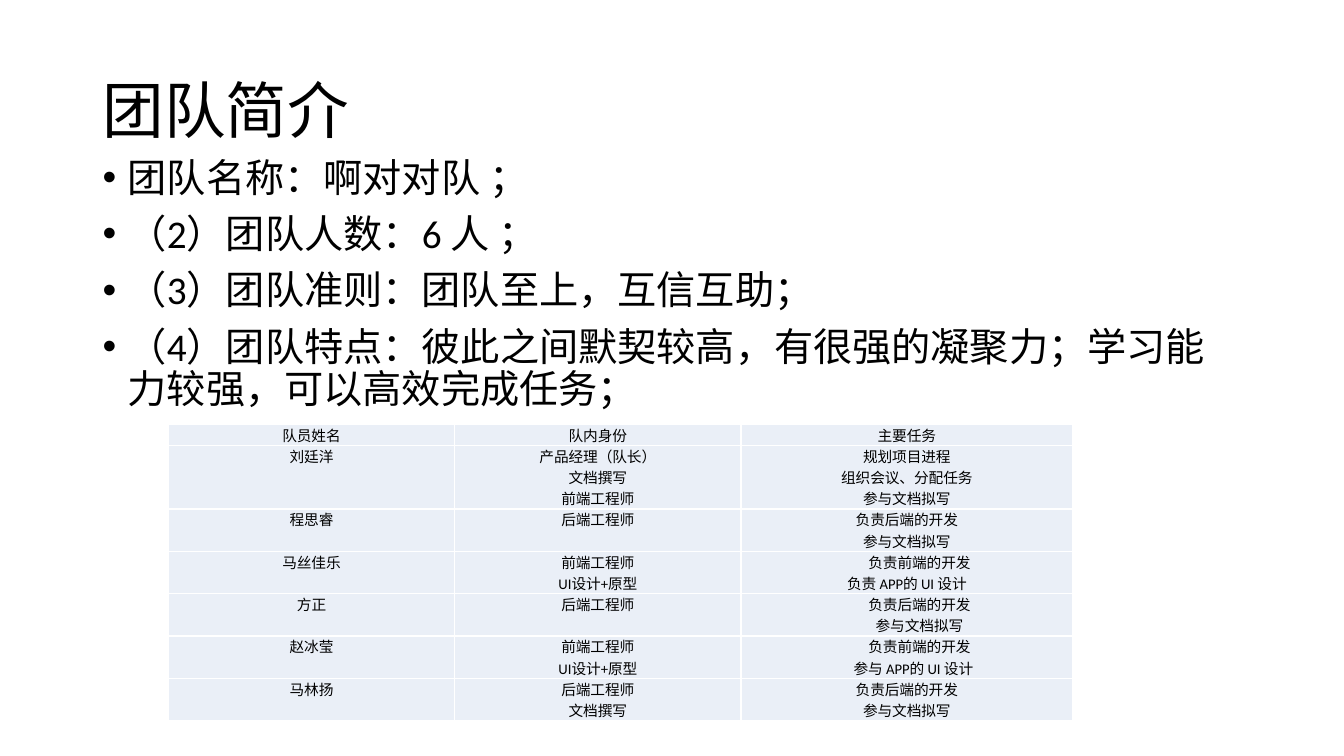
from lxml import etree
from pptx import Presentation
from pptx.dml.color import RGBColor
from pptx.enum.text import MSO_ANCHOR, PP_ALIGN
from pptx.oxml.ns import qn
from pptx.util import Pt

PX = 9144  # 100 px to the inch
CENTER, LEFT = PP_ALIGN.CENTER, PP_ALIGN.LEFT
TOP, MIDDLE = MSO_ANCHOR.TOP, MSO_ANCHOR.MIDDLE

THEME = {
    "font": "Calibri",
    "text": RGBColor(0x00, 0x00, 0x00),
    "cell": RGBColor(0xEA, 0xEF, 0xF7),
    "border": "FFFFFF",
    "title": 44, "body": 28, "table": 10.5,
}


def write(tf, lines, size, align):
    tf.word_wrap = True
    tf.text = "\n".join(lines)
    for p in tf.paragraphs:
        p.alignment = align
        for r in p.runs:
            r.font.name = THEME["font"]
            r.font.size = Pt(THEME[size])
            r.font.color.rgb = THEME["text"]


def add_text(s, box, lines, size, anchor):
    tf = s.shapes.add_textbox(*[v * PX for v in box]).text_frame
    tf.vertical_anchor = anchor
    write(tf, lines, size, LEFT)
    for p in tf.paragraphs:
        p.line_spacing = 0.9
    return tf


prs = Presentation()
prs.slide_width, prs.slide_height = 1333 * PX, 750 * PX
s = prs.slides.add_slide(prs.slide_layouts[6])

# Title
add_text(s, (92, 40, 1150, 145), ["团队简介"], "title", MIDDLE)

# Bulleted introduction
intro = [
    "团队名称：啊对对队 ；",
    "（2）团队人数：6 人 ；",
    "（3）团队准则：团队至上，互信互助；",
    "（4）团队特点：彼此之间默契较高，有很强的凝聚力；学习能力较强，可以高效完成任务；",
]
tf = add_text(s, (92, 152, 1150, 269), intro, "body", TOP)
for p in tf.paragraphs:
    p.space_before = Pt(10)
    pPr = p._p.get_or_add_pPr()
    pPr.set("marL", str(25 * PX))
    pPr.set("indent", str(-25 * PX))
    etree.SubElement(pPr, qn("a:buFont")).set("typeface", "Arial")
    etree.SubElement(pPr, qn("a:buChar")).set("char", "•")

# Team table: name, roles, tasks
members = [
    (["队员姓名"], ["队内身份"], ["主要任务"]),
    (["刘廷洋"], ["产品经理（队长）", "文档撰写", "前端工程师"],
     ["规划项目进程", "组织会议、分配任务", "参与文档拟写"]),
    (["程思睿"], ["后端工程师"], ["负责后端的开发", "参与文档拟写"]),
    (["马丝佳乐"], ["前端工程师", "UI设计+原型"], ["负责前端的开发", "负责 APP的 UI 设计"]),
    (["方正"], ["后端工程师"], ["负责后端的开发", "参与文档拟写"]),
    (["赵冰莹"], ["前端工程师", "UI设计+原型"], ["负责前端的开发", "参与 APP的 UI 设计"]),
    (["马林扬"], ["后端工程师", "文档撰写"], ["负责后端的开发", "参与文档拟写"]),
]
# Left margins in the task column, by row and line
task_indents = {(3, 0): 25, (4, 0): 25, (4, 1): 25, (5, 0): 25, (5, 1): 13}
col_widths = [284, 284, 329]
line_height = 21

table = s.shapes.add_table(len(members), len(col_widths), 167 * PX, 421 * PX,
                           sum(col_widths) * PX, 293 * PX).table
table.first_row = table.horz_banding = False
for column, width in zip(table.columns, col_widths):
    column.width = width * PX

for i, member in enumerate(members):
    table.rows[i].height = max(len(lines) for lines in member) * line_height * PX
    for j, lines in enumerate(member):
        cell = table.cell(i, j)
        cell.margin_left = cell.margin_right = 7 * PX
        cell.margin_top = cell.margin_bottom = 0
        write(cell.text_frame, lines, "table", CENTER)

        # White borders come before the fill
        tcPr = cell._tc.get_or_add_tcPr()
        for side in ("a:lnL", "a:lnR", "a:lnT", "a:lnB"):
            ln = etree.SubElement(tcPr, qn(side), w=str(Pt(1)))
            fill = etree.SubElement(ln, qn("a:solidFill"))
            etree.SubElement(fill, qn("a:srgbClr"), val=THEME["border"])
        cell.fill.solid()
        cell.fill.fore_color.rgb = THEME["cell"]

for (row, line), indent in task_indents.items():
    p = table.cell(row, 2).text_frame.paragraphs[line]
    p._p.get_or_add_pPr().set("marL", str(indent * PX))

prs.save("out.pptx")
